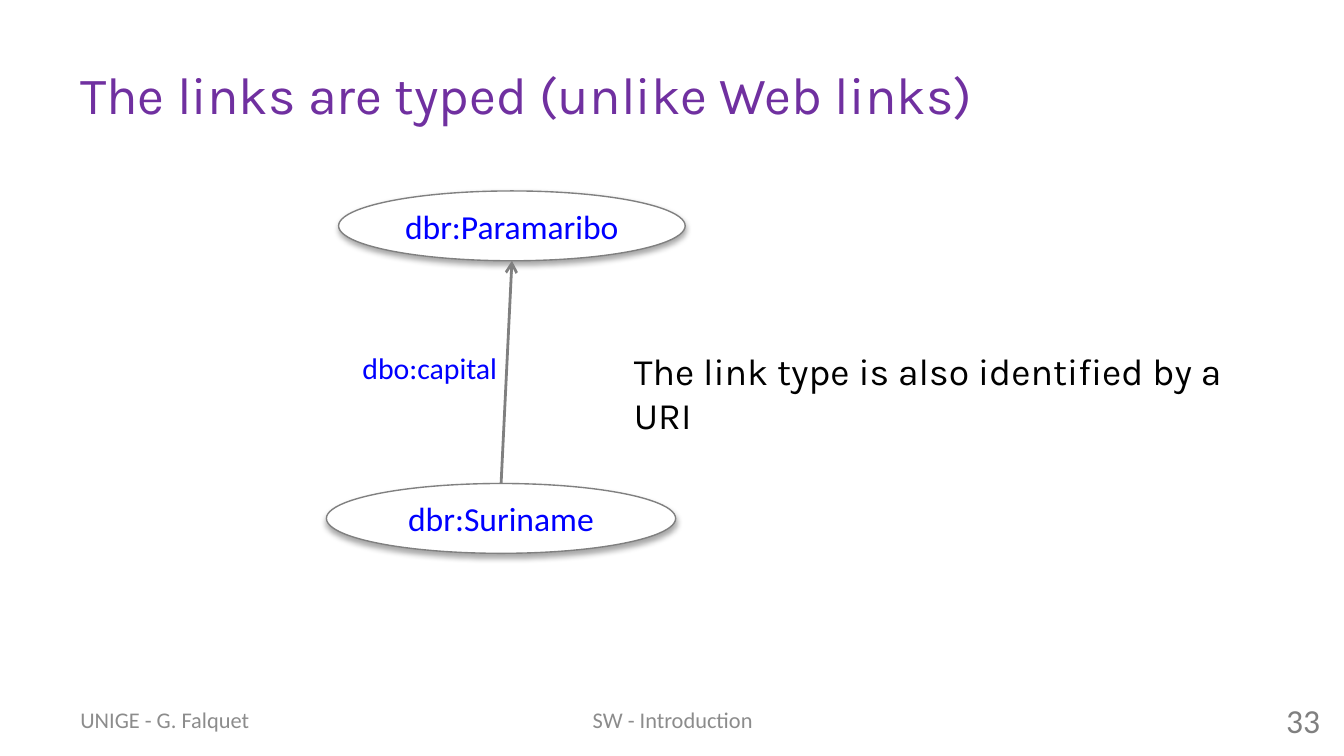
"""Build a slide about typed links between two resources."""
from lxml import etree
from pptx import Presentation
from pptx import util as u
from pptx.dml.color import RGBColor
from pptx.enum import shapes, text
from pptx.oxml import ns


class Theme:
    heading, body = "Karla", "Calibri"
    title_size, note_size, node_size, link_size, footer_size = 28, 20, 18, 16, 12
    purple, black, blue = "7030A0", "000000", "0000FF"
    grey, pale_grey, white = "808080", "8C8C8C", "FFFFFF"


LEFT, CENTER, RIGHT = text.PP_ALIGN.LEFT, text.PP_ALIGN.CENTER, text.PP_ALIGN.RIGHT
TOP, MIDDLE = text.MSO_ANCHOR.TOP, text.MSO_ANCHOR.MIDDLE
FOOTER_TOP, FOOTER_HEIGHT = 13.23, 0.76

FOOTER = dict(size=Theme.footer_size, color=Theme.pale_grey)
TEXTS = [
    ("The links are typed (unlike Web links)", (1.27, 0.58, 22.86, 2.39),
     dict(font=Theme.heading, size=Theme.title_size, color=Theme.purple, anchor=MIDDLE)),
    ("The link type is also identified by a URI", (11.73, 6.45, 12.4, 1.12),
     dict(font=Theme.heading, size=Theme.note_size, color=Theme.black)),
    ("dbo:capital", (6.6, 6.48, 3.1, 0.94),
     dict(size=Theme.link_size, color=Theme.blue, wrap=False)),
]
FOOTERS = [
    ("UNIGE - G. Falquet", 1.27, 5.92, dict(FOOTER)),
    ("SW - Introduction", 8.69, 8.05, dict(FOOTER, align=CENTER)),
    ("33", 19.28, 5.92, dict(size=Theme.node_size, color=Theme.grey, align=RIGHT)),
]
NODES = [
    ("dbr:Paramaribo", (6.4, 3.61, 6.55, 1.32)),
    ("dbr:Suriname", (6.17, 9.14, 6.6, 1.32)),
]


def place(frame):
    return [u.Cm(length) for length in frame]


def write(box, words, *, size, color, font=Theme.body, align=LEFT, anchor=TOP, wrap=True):
    frame = box.text_frame
    frame.word_wrap = wrap
    frame.vertical_anchor = anchor
    para = frame.paragraphs[0]
    para.alignment = align
    span = para.add_run()
    span.text = words
    span.font.name = font
    span.font.size = u.Pt(size)
    span.font.color.rgb = RGBColor.from_string(color)


def add_text(page, words, frame, **style):
    write(page.shapes.add_textbox(*place(frame)), words, **style)


def add_shadow(shape):
    shape.shadow.inherit = False
    effects = shape._element.spPr.find(ns.qn("a:effectLst"))
    shadow = etree.SubElement(effects, ns.qn("a:outerShdw"), blurRad=str(u.Pt(3.1)),
                              dist=str(u.Pt(1.8)), dir="5400000", rotWithShape="0")
    color = etree.SubElement(shadow, ns.qn("a:srgbClr"), val=Theme.black)
    etree.SubElement(color, ns.qn("a:alpha"), val="35000")


def add_node(page, words, frame):
    node = page.shapes.add_shape(shapes.MSO_SHAPE.OVAL, *place(frame))
    node.fill.solid()
    node.fill.fore_color.rgb = RGBColor.from_string(Theme.white)
    node.line.color.rgb = RGBColor.from_string(Theme.grey)
    node.line.width = u.Pt(0.75)
    add_shadow(node)
    write(node, words, size=Theme.node_size, color=Theme.blue, align=CENTER, anchor=MIDDLE)
    return node


def add_arrow(page, lower, upper):
    arrow = page.shapes.add_connector(
        shapes.MSO_CONNECTOR.STRAIGHT,
        lower.left + lower.width // 2, lower.top,
        upper.left + upper.width // 2, upper.top + upper.height)
    arrow.line.color.rgb = RGBColor.from_string(Theme.grey)
    arrow.line.width = u.Pt(1.5)
    properties = arrow._element.spPr
    etree.SubElement(properties.find(ns.qn("a:ln")), ns.qn("a:tailEnd"), type="arrow")
    etree.SubElement(properties, ns.qn("a:effectLst"))


def main():
    deck = Presentation()
    deck.slide_width, deck.slide_height = u.Cm(25.4), u.Cm(14.29)
    page = deck.slides.add_slide(deck.slide_layouts[6])
    for words, frame, style in TEXTS:
        add_text(page, words, frame, **style)
    for words, left, width, style in FOOTERS:
        add_text(page, words, (left, FOOTER_TOP, width, FOOTER_HEIGHT), anchor=MIDDLE, **style)
    upper, lower = [add_node(page, *node) for node in NODES]
    add_arrow(page, lower, upper)
    deck.save("out.pptx")


if __name__ == "__main__":
    main()
